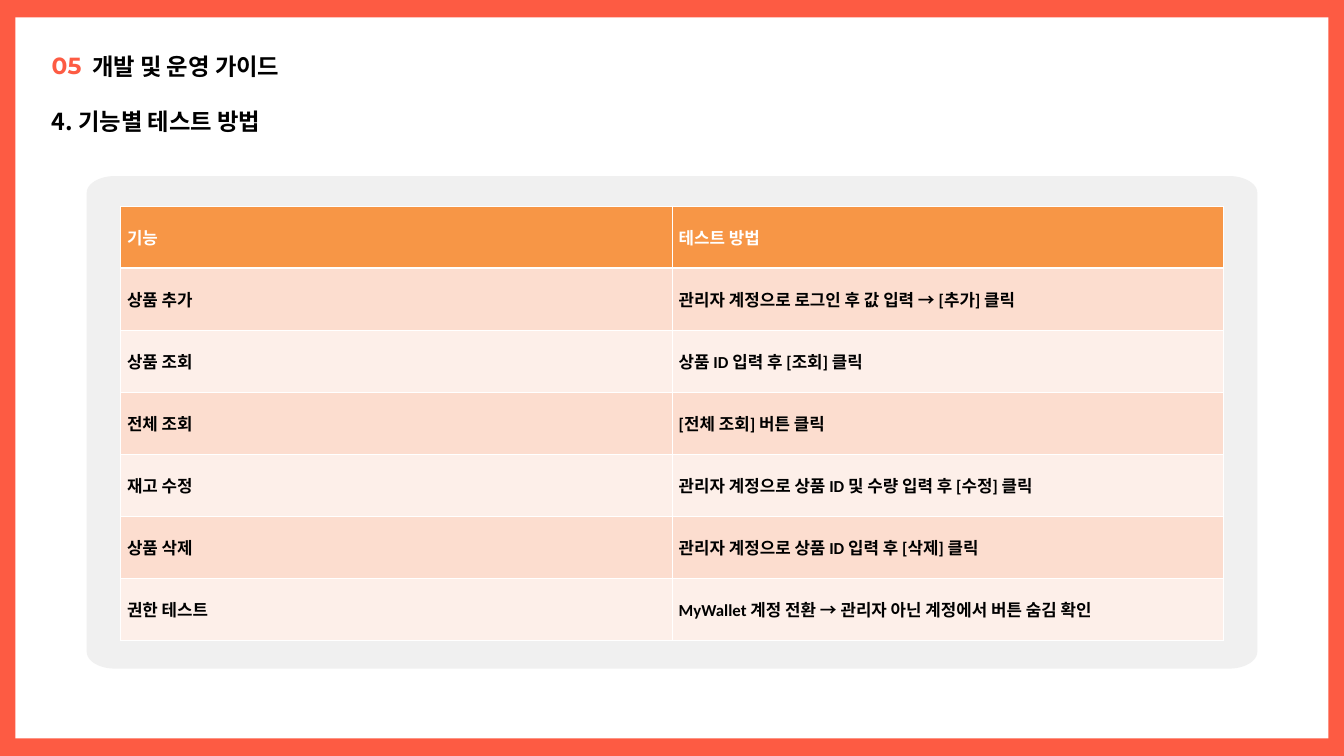
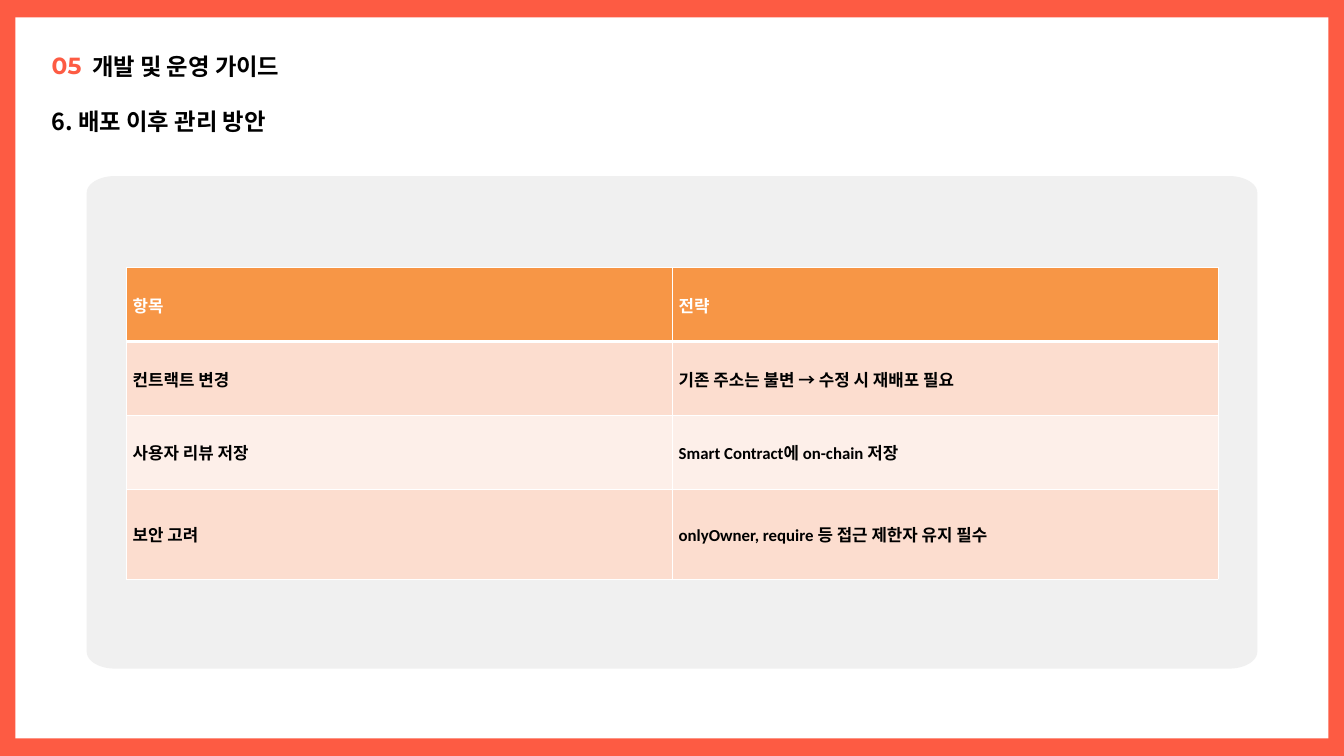
import math

from lxml import etree
from pptx import Presentation
from pptx.dml.color import RGBColor
from pptx.enum.shapes import MSO_SHAPE
from pptx.enum.text import MSO_ANCHOR, MSO_AUTO_SIZE, PP_ALIGN
from pptx.oxml.ns import qn
from pptx.util import Inches, Pt

RECTANGLE = MSO_SHAPE.RECTANGLE
TOP, MIDDLE = MSO_ANCHOR.TOP, MSO_ANCHOR.MIDDLE
FIT_SHAPE = MSO_AUTO_SIZE.SHAPE_TO_FIT_TEXT
LEFT = PP_ALIGN.LEFT

# Content
SECTION_NUMBER = "05"
SECTION_NAME = "개발 및 운영 가이드"
SLIDES = [
    {
        "title": "4. 기능별 테스트 방법",
        "table_width": 16.42,
        "row_heights": [6.47 / 7] * 7,
        "rows": [
            ("기능", "테스트 방법"),
            ("상품 추가", "관리자 계정으로 로그인 후 값 입력 → [추가] 클릭"),
            ("상품 조회", "상품 ID 입력 후 [조회] 클릭"),
            ("전체 조회", "[전체 조회] 버튼 클릭"),
            ("재고 수정", "관리자 계정으로 상품 ID 및 수량 입력 후 [수정] 클릭"),
            ("상품 삭제", "관리자 계정으로 상품 ID 입력 후 [삭제] 클릭"),
            ("권한 테스트", "MyWallet 계정 전환 → 관리자 아닌 계정에서 버튼 숨김 확인"),
        ],
    },
    {
        "title": "6. 배포 이후 관리 방안",
        "table_width": 16.25,
        "row_heights": [1.1, 1.1, 1.1, 1.33],
        "rows": [
            ("항목", "전략"),
            ("컨트랙트 변경", "기존 주소는 불변 → 수정 시 재배포 필요"),
            ("사용자 리뷰 저장", "Smart Contract에 on-chain 저장"),
            ("보안 고려", "onlyOwner, require 등 접근 제한자 유지 필수"),
        ],
    },
]

# Shared style
CORAL = RGBColor(0xFD, 0x5B, 0x43)
WHITE = RGBColor(0xFF, 0xFF, 0xFF)
BLACK = RGBColor(0x00, 0x00, 0x00)
PANEL_GREY = RGBColor(0xF0, 0xF0, 0xF0)
HEADER_ORANGE = RGBColor(0xF7, 0x96, 0x46)
ROW_TINTS = [RGBColor(0xFC, 0xDD, 0xCF), RGBColor(0xFD, 0xEF, 0xE9)]
HEADING_FONT, NUMBER_FONT, TABLE_FONT = "Noto Sans CJK SC", "Montserrat", "Calibri"

# Layout in inches
SLIDE_WIDTH, SLIDE_HEIGHT = 20, 11.25
FRAME_X, FRAME_Y = 0.23, 0.26
HEADING_LEFT, SECTION_LEFT, HEADING_RIGHT = 0.77, 1.37, 5.5
PANEL_LEFT, PANEL_TOP, PANEL_HEIGHT = 1.29, 2.62, 7.33
CORNER_X, CORNER_Y = 0.42, 0.25
CORNER_STEPS = 12
TABLE_MIDDLE = 6.3


def paint(shape, color):
    shape.shadow.inherit = False
    shape.fill.solid()
    shape.fill.fore_color.rgb = color
    shape.line.fill.background()


def add_run(paragraph, text, size, font_name, color):
    run = paragraph.add_run()
    run.text = text
    run.font.size = Pt(size)
    run.font.bold = True
    run.font.color.rgb = color
    run.font.name = font_name
    return run


def write_heading(shape, box, text, font_name, color):
    shape.left, shape.top, shape.width, shape.height = map(Inches, box)
    frame = shape.text_frame
    frame.margin_left = frame.margin_top = frame.margin_right = frame.margin_bottom = 0
    frame.word_wrap = True
    frame.auto_size = FIT_SHAPE
    frame.vertical_anchor = TOP
    paragraph = frame.paragraphs[0]
    paragraph.alignment = LEFT
    paragraph.line_spacing = Pt(35)
    run = add_run(paragraph, text, 25, font_name, color)
    properties = run.font._element
    etree.SubElement(properties, qn("a:ea"), typeface=font_name)


def add_panel(slide):
    """Grey panel whose corners are quarter ellipses."""
    right, bottom = SLIDE_WIDTH - PANEL_LEFT, PANEL_TOP + PANEL_HEIGHT
    centres = [
        (right - CORNER_X, bottom - CORNER_Y),
        (PANEL_LEFT + CORNER_X, bottom - CORNER_Y),
        (PANEL_LEFT + CORNER_X, PANEL_TOP + CORNER_Y),
        (right - CORNER_X, PANEL_TOP + CORNER_Y),
    ]
    points = []
    for quarter, (x, y) in enumerate(centres):
        for step in range(CORNER_STEPS + 1):
            angle = (quarter + step / CORNER_STEPS) * math.pi / 2
            points.append((Inches(x + CORNER_X * math.cos(angle)),
                           Inches(y + CORNER_Y * math.sin(angle))))
    builder = slide.shapes.build_freeform(*points[0])
    builder.add_line_segments(points[1:], close=True)
    paint(builder.convert_to_shape(), PANEL_GREY)


def add_border(cell, side, width):
    line = etree.SubElement(cell._tc.get_or_add_tcPr(), qn(f"a:ln{side}"), w=str(Pt(width)))
    fill = etree.SubElement(line, qn("a:solidFill"))
    etree.SubElement(fill, qn("a:srgbClr"), val=str(WHITE))


def format_cell(cell, text, row):
    # Borders come before the fill in the cell properties
    heavy_side = {0: "B", 1: "T"}.get(row)
    for side in "LRTB":
        add_border(cell, side, 3 if side == heavy_side else 1)
    cell.fill.solid()
    cell.fill.fore_color.rgb = ROW_TINTS[(row - 1) % 2] if row else HEADER_ORANGE
    cell.vertical_anchor = MIDDLE
    add_run(cell.text_frame.paragraphs[0], text, 18, TABLE_FONT, BLACK if row else WHITE)


def add_content_table(slide, content):
    rows, heights, width = content["rows"], content["row_heights"], content["table_width"]
    height = sum(heights)
    table = slide.shapes.add_table(
        len(rows), len(rows[0]),
        Inches((SLIDE_WIDTH - width) / 2), Inches(TABLE_MIDDLE - height / 2),
        Inches(width), Inches(height)).table
    for row, texts in enumerate(rows):
        table.rows[row].height = Inches(heights[row])
        for column, text in enumerate(texts):
            format_cell(table.cell(row, column), text, row)


def add_slide(presentation, content):
    slide = presentation.slides.add_slide(presentation.slide_layouts[5])
    shapes = slide.shapes
    title = shapes.title

    # White page inside the coral frame, placed behind the title
    page = shapes.add_shape(
        RECTANGLE, Inches(FRAME_X), Inches(FRAME_Y),
        Inches(SLIDE_WIDTH - 2 * FRAME_X), Inches(SLIDE_HEIGHT - 2 * FRAME_Y))
    paint(page, WHITE)
    title._element.addprevious(page._element)

    # Section line and slide title
    section_box = (SECTION_LEFT, 0.7, HEADING_RIGHT - SECTION_LEFT, 0.46)
    number_box = (HEADING_LEFT, 0.69, SECTION_LEFT - HEADING_LEFT, 0.45)
    title_box = (HEADING_LEFT, 1.52, HEADING_RIGHT - HEADING_LEFT, 0.46)
    write_heading(shapes.add_textbox(0, 0, 0, 0), section_box, SECTION_NAME, HEADING_FONT, BLACK)
    write_heading(shapes.add_textbox(0, 0, 0, 0), number_box, SECTION_NUMBER, NUMBER_FONT, CORAL)
    write_heading(title, title_box, content["title"], HEADING_FONT, BLACK)

    add_panel(slide)
    add_content_table(slide, content)


def main():
    presentation = Presentation()
    presentation.slide_width = Inches(SLIDE_WIDTH)
    presentation.slide_height = Inches(SLIDE_HEIGHT)
    background = presentation.slide_master.background.fill
    background.solid()
    background.fore_color.rgb = CORAL
    for content in SLIDES:
        add_slide(presentation, content)
    presentation.save("out.pptx")


if __name__ == "__main__":
    main()
